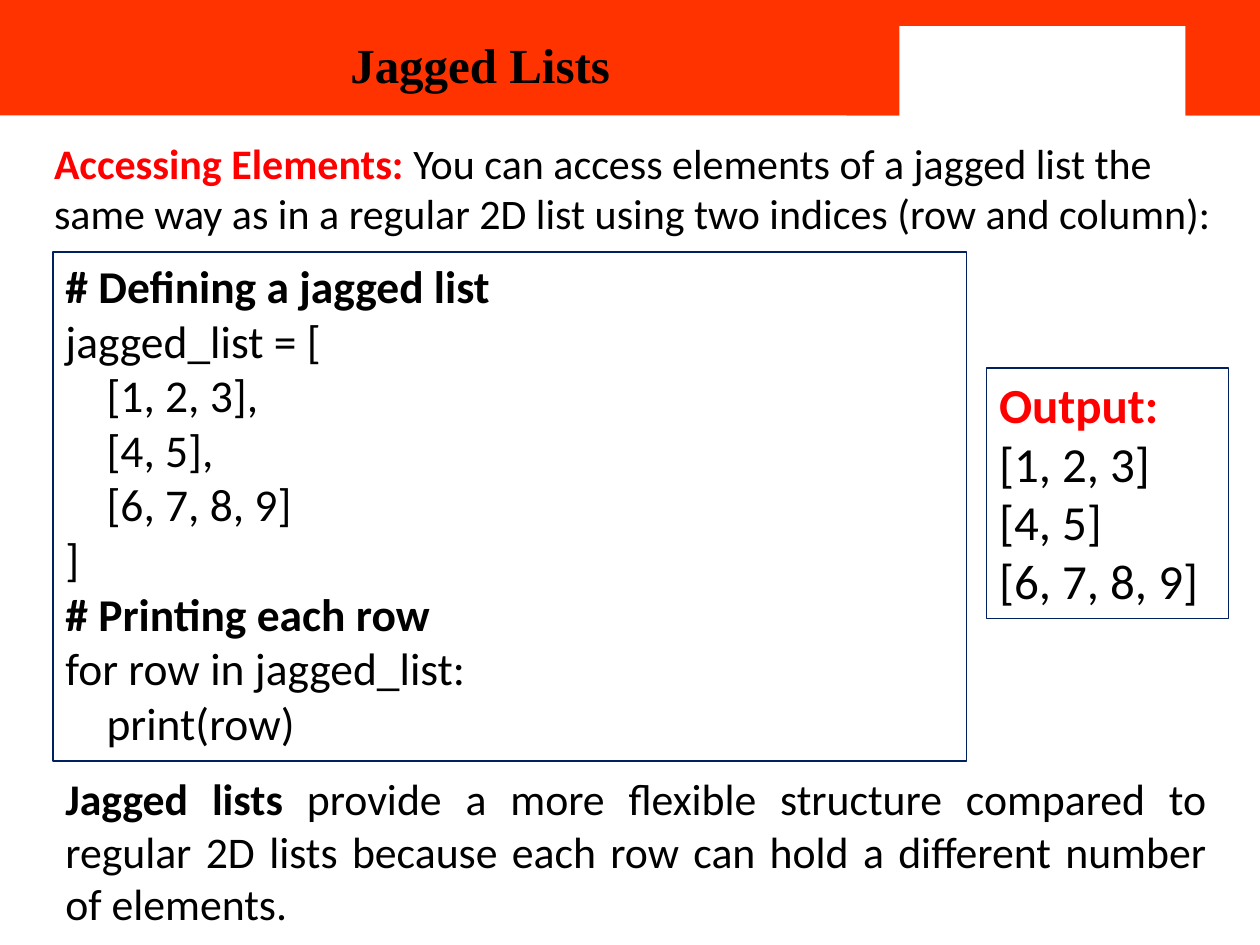
from pptx import Presentation
from pptx.dml.color import RGBColor
from pptx.enum.shapes import MSO_SHAPE
from pptx.enum.text import MSO_ANCHOR, PP_ALIGN
from pptx.util import Cm, Pt

COLORS = {
    "band": "FF3300",
    "white": "FFFFFF",
    "text": "000000",
    "accent": "FF0000",
    "border": "002060",
}

CODE = """# Defining a jagged list
jagged_list = [
    [1, 2, 3],
    [4, 5],
    [6, 7, 8, 9]
]
# Printing each row
for row in jagged_list:
    print(row)"""

OUTPUT = """Output:
[1, 2, 3]
[4, 5]
[6, 7, 8, 9]"""


class SlideBuilder:
    def __init__(self, slide, font="Calibri"):
        self.slide = slide
        self.font = font

    def color(self, name):
        return RGBColor.from_string(COLORS[name])

    def style(self, font, size=None, name=None, bold=False, color="text"):
        if size:
            font.size = Pt(size)
            font.name = name or self.font
        font.bold = bold
        font.color.rgb = self.color(color)

    def rect(self, box, fill=None, line=None):
        sp = self.slide.shapes.add_shape(MSO_SHAPE.RECTANGLE, *map(Cm, box))
        sp.shadow.inherit = False
        if fill:
            sp.fill.solid()
            sp.fill.fore_color.rgb = self.color(fill)
        else:
            sp.fill.background()
        if line:
            sp.line.color.rgb = self.color(line)
            sp.line.width = Pt(0.75)
        else:
            sp.line.fill.background()
        return sp

    def text(self, box, size, lead, body="", lead_color="text", align=PP_ALIGN.LEFT, font=None):
        """Add one paragraph: a bold lead-in, then optional regular text."""
        tf = self.slide.shapes.add_textbox(*map(Cm, box)).text_frame
        tf.word_wrap = True
        p = tf.paragraphs[0]
        p.alignment = align
        self.style(p.font, size, font, bold=not body, color="text" if body else lead_color)
        r = p.add_run()
        r.text = lead
        if body:
            self.style(r.font, bold=True, color=lead_color)
            p.add_run().text = body
        return tf

    def listing(self, box, size, text, headings):
        """Add a bordered box of lines; headings maps bold lines to colours."""
        tf = self.rect(box, line="border").text_frame
        tf.word_wrap = True
        tf.vertical_anchor = MSO_ANCHOR.TOP
        tf.text = text
        for p in tf.paragraphs:
            p.alignment = PP_ALIGN.LEFT
            self.style(p.font, size, bold=p.text in headings, color=headings.get(p.text, "text"))


def main():
    prs = Presentation()
    prs.slide_width, prs.slide_height = Cm(25.4), Cm(19.05)
    b = SlideBuilder(prs.slides.add_slide(prs.slide_layouts[6]))

    b.rect((0, 0, 25.4, 2.33), fill="band")
    b.rect((17.07, 0, 8.33, 2.33), fill="band")
    b.rect((18.13, 0.53, 5.77, 1.9), fill="white")

    title = b.text((0.84, 0.66, 17.35, 1.24), 28, "Jagged Lists",
                   align=PP_ALIGN.CENTER, font="Times New Roman")
    title.margin_left, title.margin_top = Cm(0.33), Cm(0.03)
    title.margin_right = title.margin_bottom = 0

    b.text((0.84, 2.64, 23.93, 2.31), 24, "Accessing Elements: ",
           "You can access elements of a jagged list the same way as in a "
           "regular 2D list using two indices (row and column):",
           lead_color="accent")
    b.listing((1.07, 5.08, 18.42, 10.26), 26, CODE,
              {"# Defining a jagged list": "text", "# Printing each row": "text"})
    b.listing((19.89, 7.42, 4.88, 5.05), 28, OUTPUT, {"Output:": "accent"})
    b.text((1.07, 15.44, 23.5, 3.45), 25, "Jagged lists ",
           "provide a more flexible structure compared to regular 2D lists "
           "because each row can hold a different number of elements.",
           align=PP_ALIGN.JUSTIFY)

    prs.save("out.pptx")


if __name__ == "__main__":
    main()
